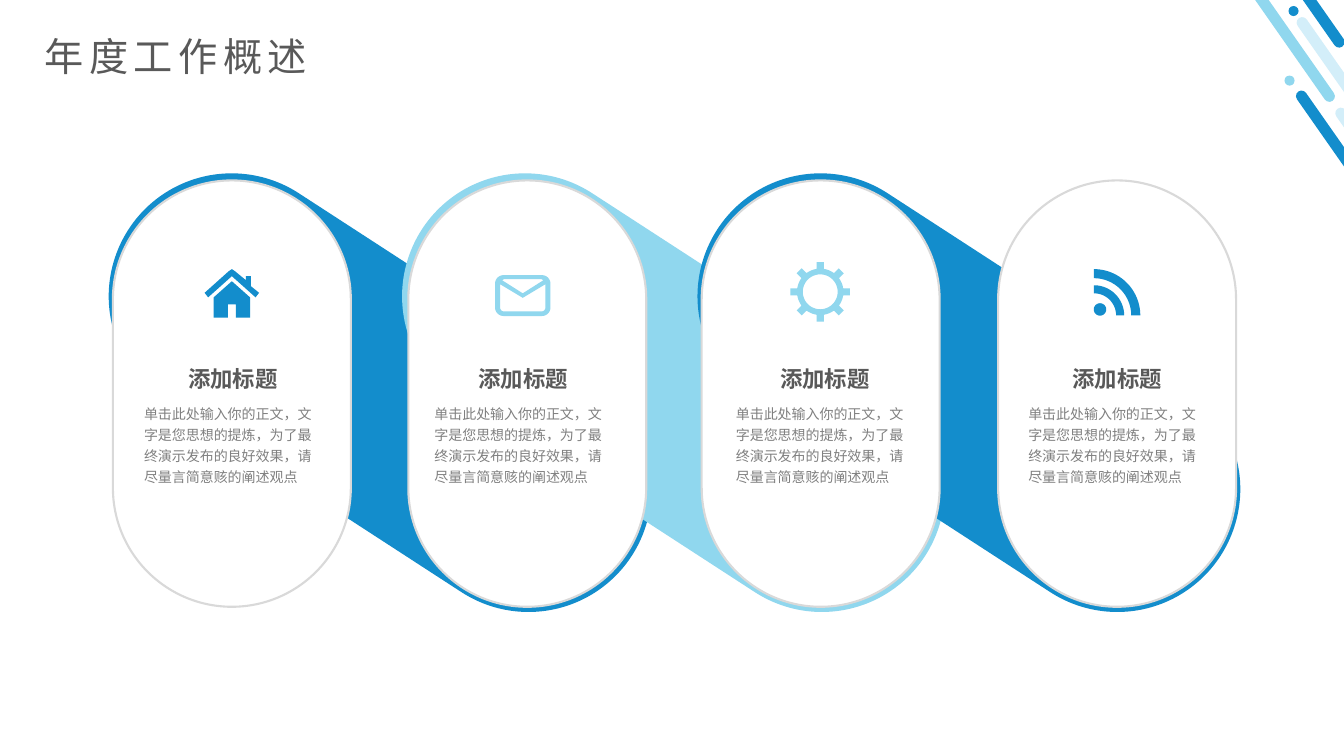
from math import cos, radians, sin

from lxml.etree import SubElement
from pptx import Presentation
from pptx.dml.color import RGBColor
from pptx.enum.shapes import MSO_SHAPE as SHAPE
from pptx.enum.text import MSO_ANCHOR as ANCHOR, PP_ALIGN as ALIGN
from pptx.oxml.ns import qn
from pptx.util import Inches, Pt

BLUE, SKY, PALE = "138DCC", "90D7EE", "D3EEF9"
WHITE, BORDER, DARK, GRAY = "FFFFFF", "D9D9D9", "595959", "808080"
BODY = "单击此处输入你的正文，文字是您思想的提炼，为了最终演示发布的良好效果，请尽量言简意赅的阐述观点"


def color(value):
    return RGBColor.from_string(value)


def grid(n):
    """Length of n cells of the square grid: 133.33 columns by 75 rows."""
    return Inches(n / 10)


def arc(cx, cy, radius, start, end, steps=24):
    """Points of an arc; angles run clockwise from the right."""
    angles = [radians(start + (end - start) * i / steps) for i in range(steps + 1)]
    return [(cx + radius * cos(a), cy + radius * sin(a)) for a in angles]


class Deck:
    font = "Noto Sans CJK SC"

    def __init__(self, prs):
        self.slide = prs.slides.add_slide(prs.slide_layouts[5])
        self.shapes = self.slide.shapes

    def paint(self, sp, fill, line=None):
        sp.shadow.inherit = False
        sp.fill.solid()
        sp.fill.fore_color.rgb = color(fill)
        if line:
            sp.line.color.rgb = color(line)
            sp.line.width = Pt(1.5)
        else:
            sp.line.fill.background()

    def shape(self, kind, box, fill, line=None, rotation=0):
        sp = self.shapes.add_shape(kind, *map(grid, box))
        self.paint(sp, fill, line)
        sp.rotation = rotation
        return sp

    def pill(self, box, fill, line=None, rotation=0):
        self.shape(SHAPE.ROUNDED_RECTANGLE, box, fill, line, rotation).adjustments[0] = 0.5

    def icon(self, contours, fill):
        contours = [[(grid(x), grid(y)) for x, y in c] for c in contours]
        builder = self.shapes.build_freeform(*contours[0][0], scale=1.0)
        for i, points in enumerate(contours):
            if i:
                builder.move_to(*points[0])
            builder.add_line_segments(points[1:], close=True)
        self.paint(builder.convert_to_shape(), fill)

    def set_text(self, sp, text, size, ink, bold=False, align=ALIGN.LEFT,
                 anchor=ANCHOR.MIDDLE, spacing=1.0, tracking=0):
        tf = sp.text_frame
        tf.word_wrap = True
        tf.vertical_anchor = anchor
        tf.text = text
        p = tf.paragraphs[0]
        p.alignment, p.line_spacing = align, spacing
        p.font.size, p.font.bold = Pt(size), bold
        p.font.color.rgb = color(ink)
        p.font.name = self.font
        # East Asian typeface and letter spacing
        props = p._p.get_or_add_pPr().find(qn("a:defRPr"))
        SubElement(props, qn("a:ea")).set("typeface", self.font)
        if tracking:
            props.set("spc", str(tracking * 100))

    def title(self, text, box):
        sp = self.shapes.title
        sp.left, sp.top, sp.width, sp.height = map(grid, box)
        self.set_text(sp, text, 28, DARK, tracking=4)

    def text(self, text, box, size, ink, **style):
        self.set_text(self.shapes.add_textbox(*map(grid, box)), text, size, ink, **style)


def house():
    body = [(24.8, 31.5), (23.4, 31.5), (23.4, 30.2), (22.6, 30.2), (22.6, 31.5),
            (21.2, 31.5), (21.2, 29.5), (23, 27.9), (24.8, 29.5)]
    roof = [(24.4, 27.8), (24.4, 27.4), (24.9, 27.4), (24.9, 28.4), (25.7, 29.05),
            (25.35, 29.5), (23, 27.4), (20.65, 29.5), (20.3, 29.05), (22.7, 26.9),
            (23, 26.7), (23.3, 26.9)]
    return [body, roof]


def envelope():
    rim = (arc(49.95, 28.15, 0.85, 180, 270) + arc(53.75, 28.15, 0.85, 270, 360)
           + arc(53.75, 30.5, 0.85, 0, 90) + arc(49.95, 30.5, 0.85, 90, 180))
    flap = [(49.8, 27.8), (50, 27.7), (53.7, 27.7), (53.9, 27.8), (51.85, 29.1)]
    front = ([(49.6, 28.2), (51.85, 29.55), (54.1, 28.2)]
             + arc(53.7, 30.5, 0.4, 0, 90) + arc(50, 30.5, 0.4, 90, 180))
    return [rim, flap, front]


def gear(cx=81.35, cy=28.95, rim=2.3, tip=2.95, half=0.35):
    outline = []
    for angle in range(0, 360, 45):
        c, s = cos(radians(angle)), sin(radians(angle))
        tooth = [(rim, -half), (tip, -half), (tip, half), (rim, half)]
        outline += [(cx + u * c - v * s, cy + u * s + v * c) for u, v in tooth]
        outline += arc(cx, cy, rim, angle + 10, angle + 35, 6)
    return [outline, arc(cx, cy, 1.73, 0, 360, 48)]


def feed(cx=108.5, cy=31.3):
    waves = [arc(cx, cy, outer, 270, 360) + arc(cx, cy, inner, 360, 270)
             for inner, outer in ((2.2, 3), (3.7, 4.6))]
    return waves + [arc(109.1, 30.7, 0.62, 0, 360)]


def main():
    prs = Presentation()
    prs.slide_width, prs.slide_height = Inches(13.33), Inches(7.5)
    deck = Deck(prs)

    # Corner stripes and dots
    for left, top, length, fill in (
            (134.5, 7.1, 21.9, BLUE), (138.4, 8.8, 21.9, PALE), (123.7, -15.1, 27.6, SKY),
            (136.2, -0.7, 27.6, PALE), (126.3, -15.3, 21.9, BLUE)):
        deck.pill((left, top, 1.1, length), fill, rotation=325)
    for left, top, fill in ((127.4, 7.5, SKY), (127.8, 0.6, BLUE)):
        deck.shape(SHAPE.OVAL, (left, top, 1, 1), fill)

    deck.title("年度工作概述", (3.4, 2.7, 126.5, 5.7))

    # Slanted bands linking the cards
    for left, fill in ((25.5, BLUE), (54.6, SKY), (83.9, BLUE)):
        deck.pill((left, 9.2, 24.4, 59.5), fill, rotation=303)

    # Cards: left edge, text edge, icon and its colour
    for left, text_left, icon, fill in (
            (11.2, 13.3, house, BLUE), (40.5, 42.1, envelope, SKY),
            (69.6, 72, gear, SKY), (99, 101, feed, BLUE)):
        deck.pill((left, 17.9, 23.6, 42.3), WHITE, line=BORDER)
        deck.text(BODY, (text_left, 39.3, 19.5, 7.5), 10, GRAY,
                  anchor=ANCHOR.TOP, spacing=1.25)
        deck.text("添加标题", (text_left - 1.6, 35.7, 22.8, 3.7), 16, DARK,
                  bold=True, align=ALIGN.CENTER)
        deck.icon(icon(), fill)

    prs.save("out.pptx")


if __name__ == "__main__":
    main()
